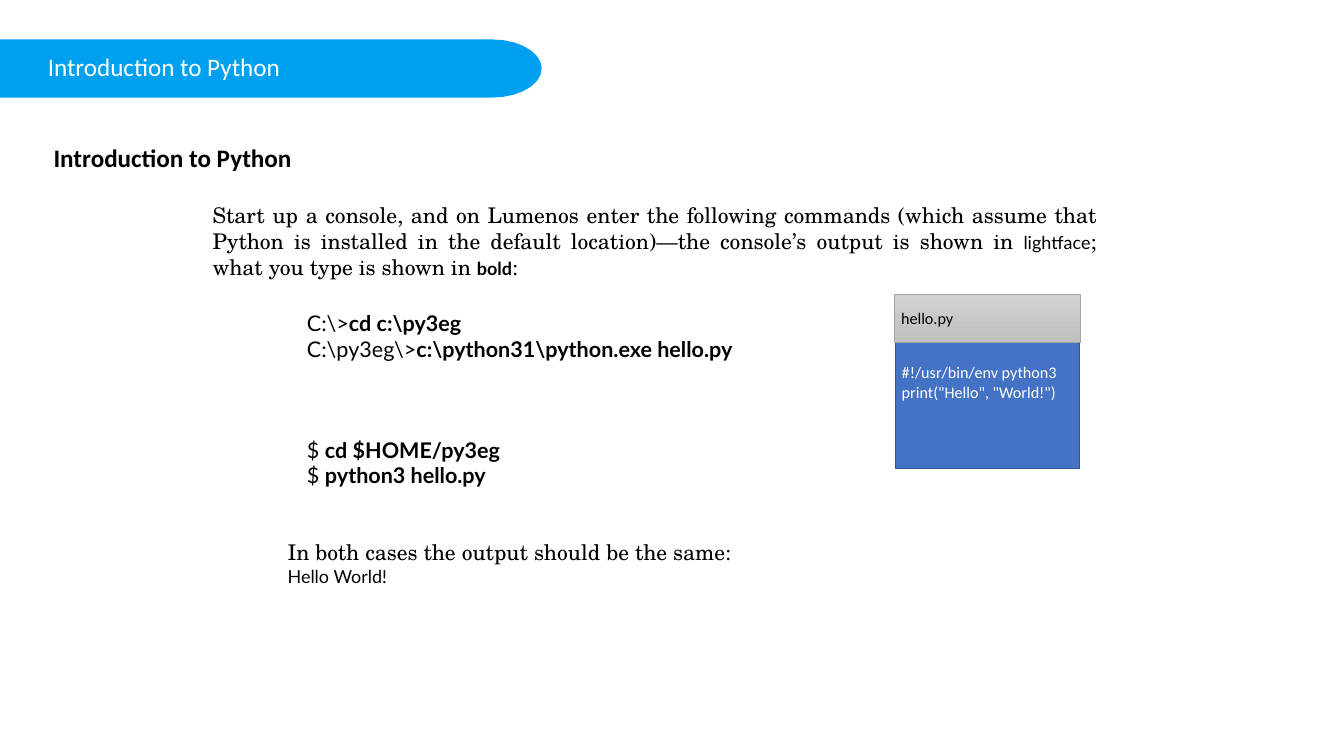
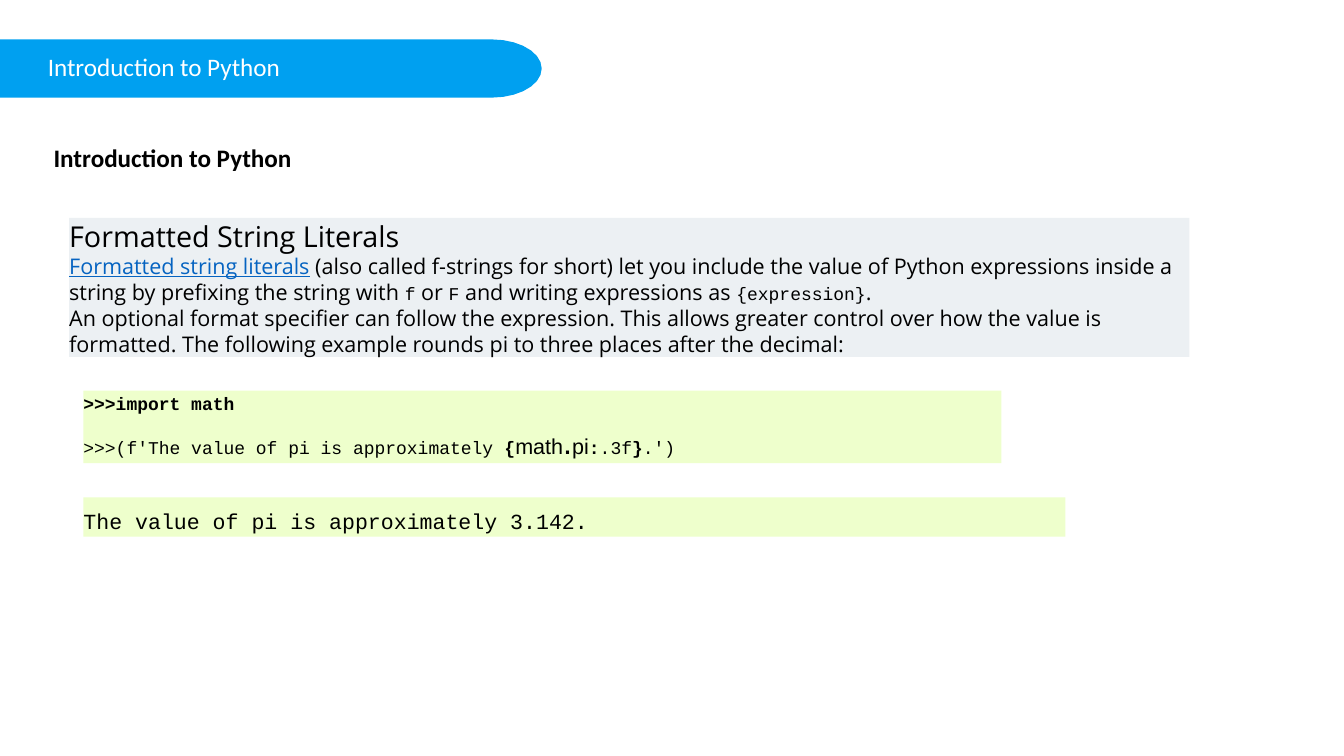
"""Build two slides that introduce Python."""
import math
import pptx
import pptx.dml.color
import pptx.enum.dml
import pptx.enum.shapes
import pptx.enum.text
import pptx.util

ALIGN = pptx.enum.text.PP_ALIGN
ANCHOR = pptx.enum.text.MSO_ANCHOR
AUTO = pptx.enum.text.MSO_AUTO_SIZE
PX = 9144
SLIDE = (2079, 1169)

THEME = {
    "band": "00A0F0", "file": "4472C4", "file_line": "325491",
    "tab": ("D2D2D2", "C0C0C0"), "tab_line": "A5A5A5",
    "note": "ECF0F3", "code": "EEFFCC",
    "text": {
        "title": ("Calibri", 28, False, "FFFFFF"),
        "heading": ("Calibri", 28, True, "000000"),
        "serif": ("TeX Gyre Schola", 24, False, "000000"),
        "sample": ("Lato", 20, False, "000000"),
        "sample_bold": ("Lato", 20, True, "000000"),
        "prompt": ("Lato", 24, False, "000000"),
        "command": ("Lato", 24, True, "000000"),
        "file": ("Calibri", 18, False, "FFFFFF"),
        "tab": ("Calibri", 18, False, "000000"),
        "topic": ("Open Sans", 32, False, "000000"),
        "body": ("Open Sans", 24, False, "000000"),
        "link": ("Open Sans", 24, False, "0563C1"),
        "mono": ("Courier New", 20, False, "000000"),
        "mono_bold": ("Courier New", 20, True, "000000"),
        "output": ("Courier New", 24, False, "000000"),
        "name": ("Arial", 24, False, "000000"),
        "dot": ("Arial", 36, False, "000000"),
        "end": ("Calibri", 32, False, "000000"),
        "output_end": ("Calibri", 36, False, "000000"),
    },
}

TITLE = "Introduction to Python"
BAND = {"top": 61, "straight": 761, "rx": 77, "ry": 45, "steps": 14}

INTRO = [[
    ("Start up a console, and on Lumenos enter the following commands (which assume that "
     "Python is installed in the default location)—the console’s output is shown in ", "serif"),
    ("lightface", "sample"), ("; what you type is shown in ", "serif"),
    ("bold", "sample_bold"), (":", "serif")]]
CONSOLES = [
    (474, [("C:\\>", "cd c:\\py3eg"), ("C:\\py3eg\\>", "c:\\python31\\python.exe hello.py")]),
    (670, [("$ ", "cd $HOME/py3eg"), ("$ ", "python3 hello.py")]),
]
RESULT = [[("In both cases the output should be the same:", "serif")], [("Hello World!", "sample")]]
FILE_NAME = [[("hello.py", "tab")]]
FILE_CODE = [[("#!/usr/bin/env python3", "file")], [('print("Hello", "World!")', "file")]]

F_STRINGS = [
    [("Formatted String Literals", "topic")],
    [("Formatted string literals", "link"),
     (" (also called f-strings for short) let you include the value of Python expressions "
      "inside a string by prefixing the string with ", "body"),
     ("f", "mono"), (" or ", "body"), ("F", "mono"),
     (" and writing expressions as ", "body"), ("{expression}", "mono"), (".", "body")],
    [("An optional format specifier can follow the expression. This allows greater control "
      "over how the value is formatted. The following example rounds pi to three places "
      "after the decimal:", "body")],
]
PI_CODE = [
    [(">>>import math", "mono_bold")],
    [(">>>(f'The value of pi is approximately ", "mono"), ("{", "mono_bold"),
     ("math", "name"), (".", "dot"), ("pi", "name"), (":", "mono_bold"), (".3f", "mono"),
     ("}", "mono_bold"), (".')", "mono"), (" ", "end")],
]
PI_OUTPUT = [[("The value of pi is approximately 3.142.", "output"), (" ", "output_end")]]
PANELS = [
    ((107, 337, 1733, 215), "note", F_STRINGS, 0),
    ((129, 604, 1420, 112), "code", PI_CODE, 9),
    ((129, 769, 1519, 61), "code", PI_OUTPUT, 0),
]


def px(*values):
    return [v * PX for v in values]


def rgb(value):
    return pptx.dml.color.RGBColor.from_string(value)


def set_font(font, style):
    name, size, bold, color = THEME["text"][style]
    font.name, font.size, font.bold = name, pptx.util.Pt(size), bold
    font.color.rgb = rgb(color)
    if style == "link":
        font.underline = True


def write(tf, paragraphs, align=ALIGN.LEFT, gap=0):
    for i, runs in enumerate(paragraphs):
        p = tf.paragraphs[0] if i == 0 else tf.add_paragraph()
        p.alignment = align
        if i and gap:
            p.space_before = pptx.util.Pt(gap)
        styles = {style for _, style in runs}
        if len(styles) == 1:
            set_font(p.font, runs[0][1])
        for text, style in runs:
            r = p.add_run()
            r.text = text
            if len(styles) > 1:
                set_font(r.font, style)


def no_insets(tf):
    tf.margin_left = tf.margin_top = tf.margin_right = tf.margin_bottom = 0


def add_text(s, box, paragraphs, align=ALIGN.LEFT, wrap=True):
    tf = s.shapes.add_textbox(*px(*box)).text_frame
    tf.word_wrap = wrap
    tf.auto_size = AUTO.SHAPE_TO_FIT_TEXT
    write(tf, paragraphs, align)
    return tf


def add_box(s, box, paragraphs, fill, line=None, width=1, gap=0):
    sp = s.shapes.add_shape(pptx.enum.shapes.MSO_SHAPE.RECTANGLE, *px(*box))
    sp.shadow.inherit = False
    if isinstance(fill, tuple):
        sp.fill.gradient()
        sp.fill.gradient_angle = 270
        for stop, color in zip(sp.fill.gradient_stops, fill):
            stop.color.rgb = rgb(color)
    else:
        sp.fill.solid()
        sp.fill.fore_color.rgb = rgb(fill)
    if line:
        sp.line.color.rgb = rgb(line)
        sp.line.width = pptx.util.Pt(width)
    else:
        sp.line.fill.background()
    tf = sp.text_frame
    tf.word_wrap = True
    tf.vertical_anchor = ANCHOR.MIDDLE
    write(tf, paragraphs, gap=gap)
    return tf


def add_band(s):
    top, x, rx, ry, steps = BAND.values()
    arc = [(x + rx * math.sin(math.pi * i / steps), top + ry - ry * math.cos(math.pi * i / steps))
           for i in range(steps + 1)]
    points = [(0, top), *arc, (0, top + 2 * ry)]
    points = [(round(a * PX), round(b * PX)) for a, b in points]
    builder = s.shapes.build_freeform(*points[0])
    builder.add_line_segments(points[1:], close=True)
    sp = builder.convert_to_shape()
    sp.shadow.inherit = False
    sp.fill.solid()
    sp.fill.fore_color.rgb = rgb(THEME["band"])
    sp.line.fill.background()


def new_slide(prs):
    s = prs.slides.add_slide(prs.slide_layouts[6])
    add_band(s)
    tf = add_text(s, (74, 78, 1050, 49), [[(TITLE, "title")]])
    no_insets(tf)
    tf.margin_top = PX
    tf.paragraphs[0].space_before = pptx.util.Pt(1)
    add_text(s, (73, 216, 392, 57), [[(TITLE, "heading")]], wrap=False)
    return s


def console_slide(prs):
    s = new_slide(prs)
    add_text(s, (319, 308, 1387, 131), INTRO, ALIGN.JUSTIFY)
    for top, lines in CONSOLES:
        add_text(s, (465, top, 1039, 91),
                 [[(prompt, "prompt"), (command, "command")] for prompt, command in lines])
    add_box(s, (1385, 458, 285, 266), FILE_CODE, THEME["file"], THEME["file_line"])
    add_box(s, (1384, 455, 287, 74), FILE_NAME, THEME["tab"], THEME["tab_line"], 0.5)
    add_text(s, (435, 829, 1039, 84), RESULT)


def f_string_slide(prs):
    s = new_slide(prs)
    for box, fill, paragraphs, gap in PANELS:
        tf = add_box(s, box, paragraphs, THEME[fill], gap=gap)
        no_insets(tf)
        tf.auto_size = AUTO.SHAPE_TO_FIT_TEXT


def main():
    prs = pptx.Presentation()
    prs.slide_width, prs.slide_height = px(*SLIDE)
    console_slide(prs)
    f_string_slide(prs)
    prs.save("out.pptx")


if __name__ == "__main__":
    main()
